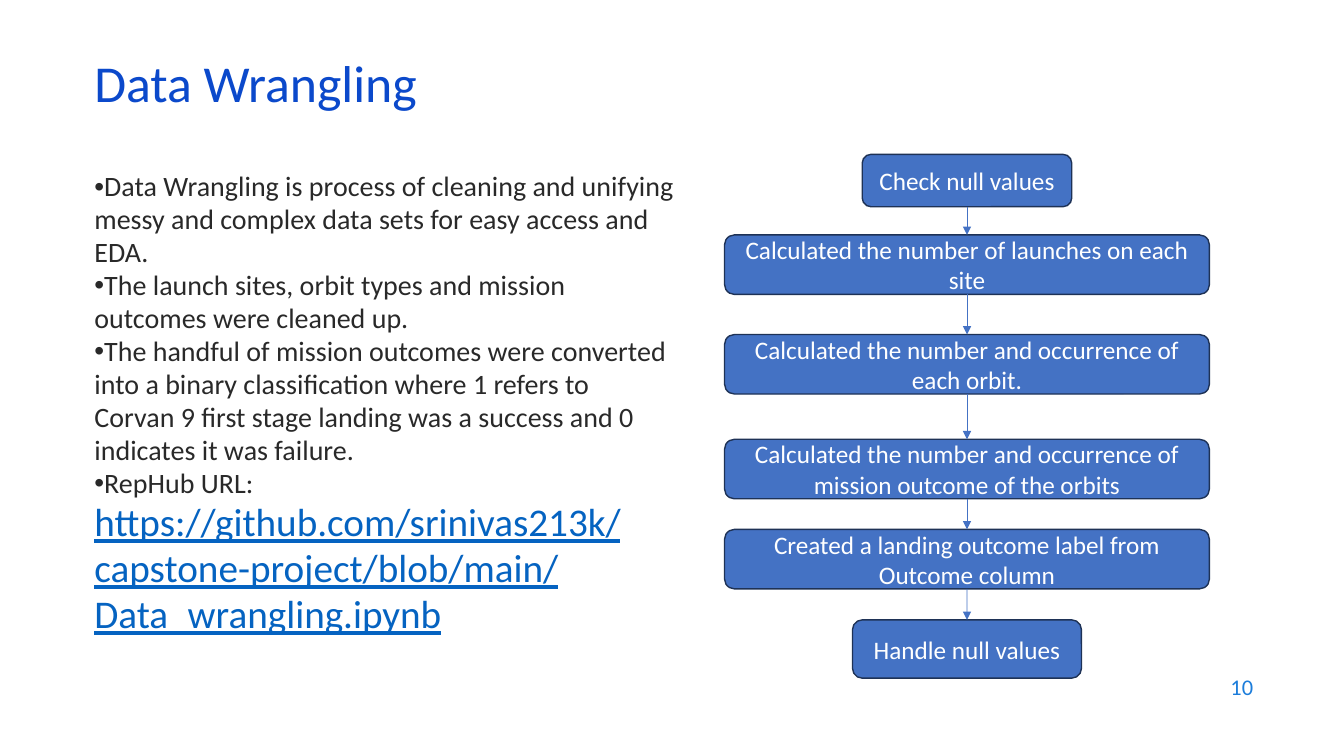
"""Build the Data Wrangling slide: explanatory bullets beside a flowchart of steps."""
from dataclasses import dataclass
from itertools import pairwise
from typing import Any

from pptx import Presentation
from pptx.dml.color import RGBColor as RGB
from pptx.enum.shapes import MSO_CONNECTOR as CONN, MSO_SHAPE as SHAPE
from pptx.enum.text import MSO_ANCHOR as ANCHOR, PP_ALIGN as ALIGN
from pptx.oxml.ns import qn
from pptx.util import Cm, Pt
from lxml.etree import SubElement

COLORS = {
    "title": "0B49CB", "body": "292929", "link": "0563C1", "number": "1C7DDB",
    "box": "4472C4", "edge": "1E3256", "label": "FFFFFF",
}
FONT = "Calibri"
FLOW_CENTER = 24.37


@dataclass
class Line:
    text: str
    size: float
    color: str
    bullet: bool = False
    underline: bool = False
    spacing: float = 1.0
    align: Any = ALIGN.LEFT


@dataclass
class TextBox:
    left: float
    top: float
    width: float
    height: float
    lines: list[Line]
    anchor: Any = ANCHOR.MIDDLE


@dataclass
class Step:
    text: str
    top: float
    width: float = 12.22
    height: float = 1.5


BULLETS = [
    "Data Wrangling is process of cleaning and unifying messy and complex data sets "
    "for easy access and EDA.",
    "The launch sites, orbit types and mission outcomes were cleaned up.",
    "The handful of mission outcomes were converted into a binary classification where "
    "1 refers to Corvan 9 first stage landing was a success and 0 indicates it was failure.",
    "RepHub URL:",
]
URL = "https://github.com/srinivas213k/capstone-project/blob/main/Data_wrangling.ipynb"

TEXT_BOXES = [
    TextBox(2.13, 1.5, 29.21, 1.52, [Line("Data Wrangling", 37, "title", spacing=0.7)]),
    TextBox(2.13, 4.17, 15.14, 12.57,
            [Line(text, 20, "body", bullet=True, spacing=0.98) for text in BULLETS]
            + [Line(URL, 28, "link", underline=True, spacing=0.98)], ANCHOR.TOP),
    TextBox(24.21, 16.74, 7.62, 1.12, [Line("10", 16, "number", align=ALIGN.RIGHT)]),
]

STEPS = [
    Step("Check null values", 3.89, 5.28, 1.32),
    Step("Calculated the number of launches on each site", 5.92),
    Step("Calculated the number and occurrence of each orbit.", 8.43),
    Step("Calculated the number and occurrence of mission outcome of the orbits", 11.07),
    Step("Created a landing outcome label from Outcome column", 13.34),
    Step("Handle null values", 15.62, 5.77, 1.47),
]


def write_lines(sp: Any, lines: list[Line], anchor: Any) -> None:
    """Fill a shape with formatted paragraphs."""
    tf = sp.text_frame
    tf.word_wrap = True
    tf.vertical_anchor = anchor
    for i, line in enumerate(lines):
        p = tf.add_paragraph() if i else tf.paragraphs[0]
        p.alignment, p.line_spacing = line.align, line.spacing
        if line.bullet:
            pPr = p._p.get_or_add_pPr()
            pPr.set("marL", "0")
            pPr.set("indent", "0")
            SubElement(pPr, qn("a:buFont"), typeface="Arial")
            SubElement(pPr, qn("a:buChar"), char="•")
        r = p.add_run()
        r.text = line.text
        formats = {"name": FONT, "size": Pt(line.size), "underline": line.underline}
        for name, value in formats.items():
            setattr(r.font, name, value)
        r.font.color.rgb = RGB.from_string(COLORS[line.color])


def add_text_box(slide: Any, box: TextBox) -> None:
    """Place one text box."""
    sp = slide.shapes.add_textbox(Cm(box.left), Cm(box.top), Cm(box.width), Cm(box.height))
    write_lines(sp, box.lines, box.anchor)


def add_step(slide: Any, step: Step) -> Any:
    """Draw one flowchart step centred on the flow axis."""
    sp = slide.shapes.add_shape(
        SHAPE.ROUNDED_RECTANGLE, Cm(FLOW_CENTER - step.width / 2), Cm(step.top),
        Cm(step.width), Cm(step.height))
    sp.shadow.inherit = False
    sp.fill.solid()
    sp.fill.fore_color.rgb = RGB.from_string(COLORS["box"])
    sp.line.color.rgb = RGB.from_string(COLORS["edge"])
    sp.line.width = Pt(1)
    write_lines(sp, [Line(step.text, 18, "label", align=ALIGN.CENTER)], ANCHOR.MIDDLE)
    return sp


def add_arrow(slide: Any, upper: Any, lower: Any) -> None:
    """Join the bottom of one step to the top of the next."""
    arrow = slide.shapes.add_connector(CONN.STRAIGHT, 0, 0, 0, 0)
    arrow.begin_connect(upper, 2)
    arrow.end_connect(lower, 0)
    arrow.line.color.rgb = RGB.from_string(COLORS["box"])
    arrow.line.width = Pt(0.5)
    SubElement(arrow.line._get_or_add_ln(), qn("a:tailEnd"), type="triangle")
    SubElement(arrow._element.spPr, qn("a:effectLst"))


def main() -> None:
    """Assemble and save the slide."""
    prs = Presentation()
    prs.slide_width, prs.slide_height = Cm(33.87), Cm(19.05)
    slide = prs.slides.add_slide(prs.slide_layouts[6])
    for box in TEXT_BOXES:
        add_text_box(slide, box)
    shapes = [add_step(slide, step) for step in STEPS]
    for upper, lower in pairwise(shapes):
        add_arrow(slide, upper, lower)
    prs.save("out.pptx")


if __name__ == "__main__":
    main()
